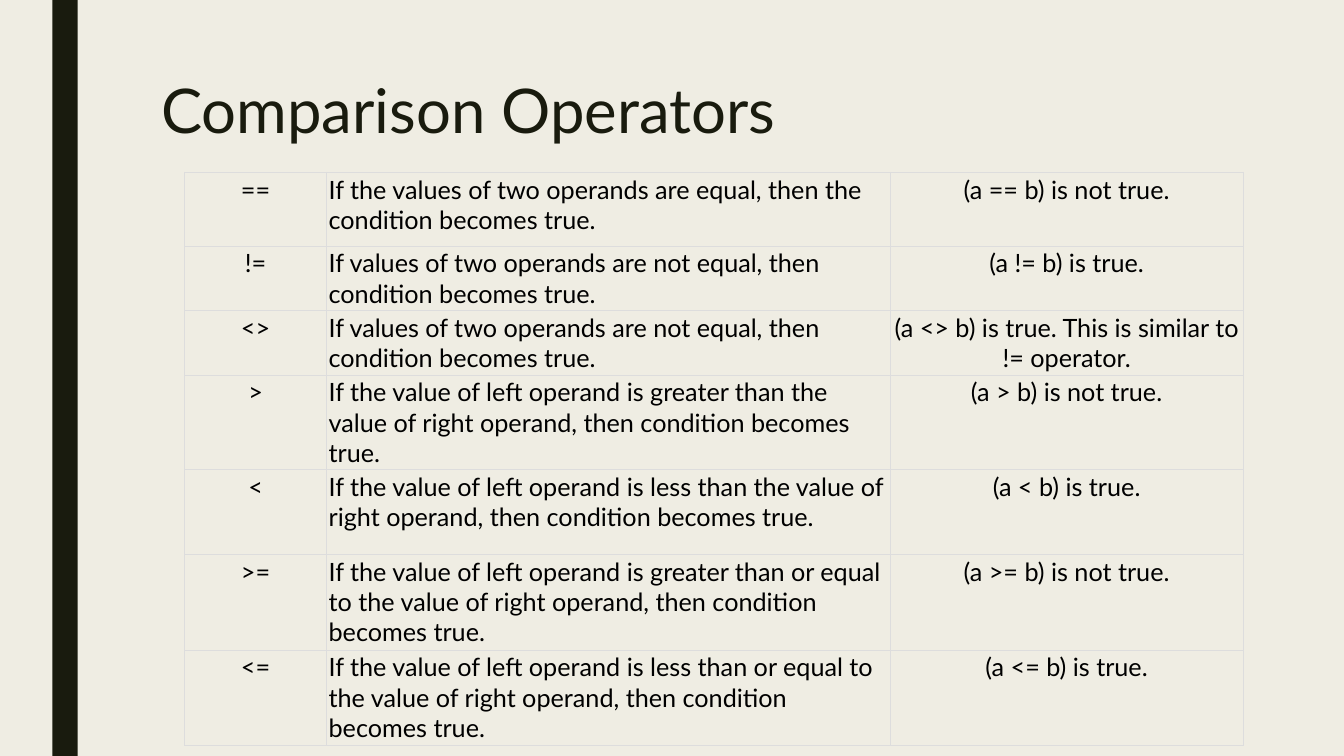
import pptx
import pptx.util
import pptx.dml.color
import pptx.enum.shapes
import pptx.enum.text
import pptx.oxml
import pptx.oxml.ns
from dataclasses import dataclass

Inches = pptx.util.Inches
Pt = pptx.util.Pt
Align = pptx.enum.text.PP_ALIGN

# Content
TITLE = "Comparison Operators"
EQUAL = "If the values of two operands are equal, then the condition becomes true."
UNEQUAL = "If values of two operands are not equal, then condition becomes true."
ORDERED = ("If the value of left operand is {} the value of right operand, "
           "then condition becomes true.")
# Operator, description, example, row height
OPERATORS = [
    ("==", EQUAL, "(a == b) is not true.", 0.73),
    ("!=", UNEQUAL, "(a != b) is true.", 0.61),
    ("<>", UNEQUAL, "(a <> b) is true. This is similar to != operator.", 0.61),
    (">", ORDERED.format("greater than"), "(a > b) is not true.", 0.84),
    ("<", ORDERED.format("less than"), "(a < b) is true.", 0.84),
    (">=", ORDERED.format("greater than or equal to"), "(a >= b) is not true.", 0.95),
    ("<=", ORDERED.format("less than or equal to"), "(a <= b) is true.", 0.95),
]
# Width and alignment of each column
COLUMNS = [(1.41, Align.CENTER), (5.59, Align.LEFT), (3.5, Align.CENTER)]


@dataclass(frozen=True)
class Theme:
    font: str = "Lato"
    background: str = "EFEDE3"
    dark: str = "191B0E"
    text: str = "000000"
    border: str = "DDDDDD"
    title_size: float = 44
    body_size: float = 18
    border_width: float = 0.6
    cell_margin: float = 0.02


THEME = Theme()


def color(value):
    return pptx.dml.color.RGBColor.from_string(value)


def add_run(paragraph, text, size, text_color):
    run = paragraph.add_run()
    run.text = text
    run.font.name = THEME.font
    run.font.size = Pt(size)
    run.font.color.rgb = color(text_color)


def add_borders(cell):
    properties = cell._tc.get_or_add_tcPr()
    for position, side in enumerate(("lnL", "lnR", "lnT", "lnB")):
        line = pptx.oxml.parse_xml(
            f'<a:{side} {pptx.oxml.ns.nsdecls("a")} w="{Pt(THEME.border_width)}">'
            f'<a:solidFill><a:srgbClr val="{THEME.border}"/></a:solidFill></a:{side}>')
        properties.insert(position, line)


# Slide and background
presentation = pptx.Presentation()
presentation.slide_width = Inches(13.33)
presentation.slide_height = Inches(7.5)
slide = presentation.slides.add_slide(presentation.slide_layouts[5])
slide.background.fill.solid()
slide.background.fill.fore_color.rgb = color(THEME.background)

# Side bar
side_bar = slide.shapes.add_shape(
    pptx.enum.shapes.MSO_SHAPE.RECTANGLE,
    Inches(0.52), 0, Inches(0.25), presentation.slide_height)
side_bar.shadow.inherit = False
side_bar.fill.solid()
side_bar.fill.fore_color.rgb = color(THEME.dark)
side_bar.line.fill.background()

# Title
title = slide.shapes.title
title.left, title.top = Inches(1.5), Inches(0.75)
title.width, title.height = Inches(10.5), Inches(1.62)
title.text_frame.word_wrap = True
title.text_frame.auto_size = pptx.enum.text.MSO_AUTO_SIZE.NONE
title.text_frame.vertical_anchor = pptx.enum.text.MSO_ANCHOR.TOP
paragraph = title.text_frame.paragraphs[0]
paragraph.alignment = Align.LEFT
paragraph.line_spacing = 0.89
add_run(paragraph, TITLE, THEME.title_size, THEME.dark)

# Operator table
table_width = sum(width for width, _ in COLUMNS)
table_height = sum(height for *_, height in OPERATORS)
table = slide.shapes.add_table(
    len(OPERATORS), len(COLUMNS), Inches(1.83), Inches(1.71),
    Inches(table_width), Inches(table_height)).table
table.first_row = table.horz_banding = False
for column, (width, _) in zip(table.columns, COLUMNS):
    column.width = Inches(width)
for row, (*texts, height) in zip(table.rows, OPERATORS):
    row.height = Inches(height)
    for cell, text, (_, alignment) in zip(row.cells, texts, COLUMNS):
        cell.margin_left = cell.margin_right = Inches(THEME.cell_margin)
        cell.margin_top = cell.margin_bottom = Inches(THEME.cell_margin)
        cell.fill.background()
        add_borders(cell)
        paragraph = cell.text_frame.paragraphs[0]
        paragraph.alignment = alignment
        add_run(paragraph, text, THEME.body_size, THEME.text)

presentation.save("out.pptx")
